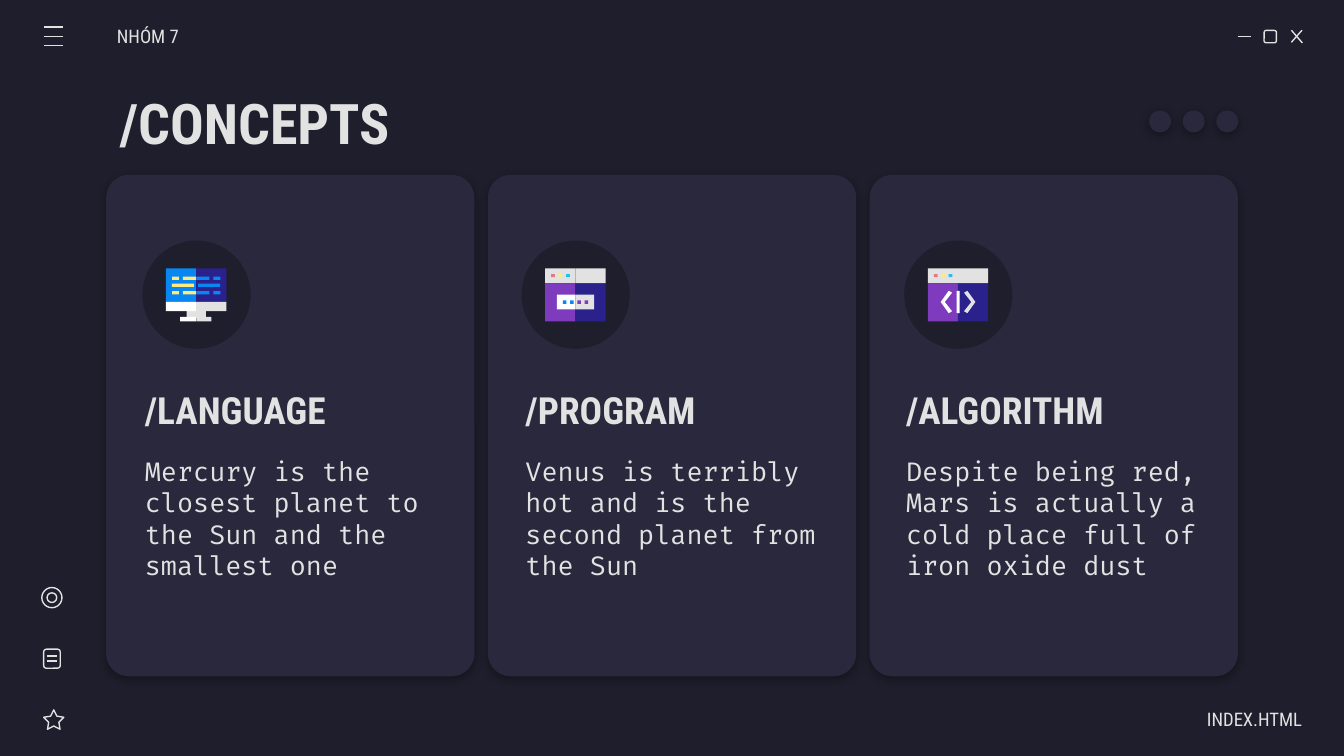
from lxml.etree import SubElement
from pptx import Presentation
from pptx.dml.color import RGBColor
from pptx.enum.shapes import MSO_CONNECTOR, MSO_SHAPE as SHAPE
from pptx.enum.text import MSO_ANCHOR, MSO_AUTO_SIZE, PP_ALIGN as ALIGN
from pptx.oxml.ns import qn
from pptx.util import Pt

DARK = RGBColor(0x1E, 0x1E, 0x2C)
PANEL = RGBColor(0x29, 0x28, 0x3D)
LIGHT = RGBColor(0xE2, 0xE2, 0xE2)
WHITE = RGBColor(0xFF, 0xFF, 0xFF)
INDIGO = RGBColor(0x2B, 0x21, 0x8D)
PURPLE = RGBColor(0x7E, 0x3B, 0xBE)
BLUE = RGBColor(0x08, 0x87, 0xF2)
YELLOW = RGBColor(0xFF, 0xEA, 0x7D)
PINK = RGBColor(0xE0, 0x7A, 0x88)
CYAN = RGBColor(0x24, 0xBF, 0xEB)

HEAD_FONT, BODY_FONT = "Roboto Condensed", "Fira Code"
ICON_W, HALF = 32.4, 16.2

MONITOR = [
    (0, 0, HALF, 18, BLUE), (HALF, 0, HALF, 18, INDIGO),
    (11, 21.6, 10.4, 5, LIGHT),
    (7.6, 26, 8.6, 2.4, WHITE), (HALF, 26, 8.2, 2.4, LIGHT),
    (0, 18, HALF, 5, WHITE), (HALF, 18, HALF, 5, LIGHT),
    (3.2, 8.2, 11.8, 1.8, YELLOW), (17.2, 8.2, 11.8, 1.8, BLUE),
]
for row in (4.4, 12.2):
    MONITOR += [(3.2, row, 3.7, 1.8, YELLOW), (9, row, 7.2, 1.8, YELLOW),
                (HALF, row, 7, 1.8, BLUE), (25.4, row, 3.7, 1.8, BLUE)]

WINDOW = [
    (0, 8, HALF, 20.4, PURPLE), (HALF, 8, HALF, 20.4, INDIGO),
    (0, 0, HALF, 8, LIGHT), (HALF, 0, HALF, 8, LIGHT),
    (3.2, 3.1, 2, 1.6, PINK), (7.1, 3.1, 2, 1.6, YELLOW), (11.2, 3.1, 2, 1.6, CYAN),
]
PASSWORD = [(6.3, 14, 9.9, 8, WHITE), (HALF, 14, 10.1, 8, LIGHT)]
PASSWORD += [(9.5 + 3.9 * i, 17.1, 1.9, 1.9, c)
             for i, c in enumerate((BLUE, BLUE, PURPLE, PURPLE))]
CODE_BAR = [(15.4, 12, 1.7, 12, WHITE)]
BRACKET = [(11.2, 12), (6.9, 18), (11.2, 24), (13, 23), (9.1, 18), (13, 13)]
MIRRORED = [(ICON_W - x, y) for x, y in BRACKET]

CARDS = [
    ("/LANGUAGE", "Mercury is the closest planet to the Sun and the smallest one",
     76.3, MONITOR, []),
    ("/PROGRAM", "Venus is terribly hot and is the second planet from the Sun",
     279.4, WINDOW + PASSWORD, []),
    ("/ALGORITHM", "Despite being red, Mars is actually a cold place full of iron oxide dust",
     484.4, WINDOW + CODE_BAR, [(BRACKET, WHITE), (MIRRORED, LIGHT)]),
]
MENU = [(23.4, y, 34, y) for y in (14.5, 19.5, 24.4)]
CONTROLS = [(663, 19.5, 670, 19.5), (691.8, 16.2, 697.7, 23), (697.5, 16.2, 691.8, 22.7)]
NOTE_LINES = [(25.3, y, 30.5, y) for y in (351.5, 354.2)]
OUTLINES = [
    (SHAPE.ROUNDED_RECTANGLE, 677.2, 16.3, 6.6, 6.6),
    (SHAPE.STAR_5_POINT, 23.4, 380.3, 10.8, 10.4),
    (SHAPE.ROUNDED_RECTANGLE, 23.4, 347.8, 8.9, 10.2),
    (SHAPE.OVAL, 22.4, 314.8, 10.8, 10.8),
    (SHAPE.OVAL, 25.2, 317.6, 5.2, 5.2),
]


def add_shape(kind, x, y, w, h, fill=None):
    sp = s.shapes.add_shape(kind, Pt(x), Pt(y), Pt(w), Pt(h))
    paint(sp, fill)
    return sp


def paint(sp, fill):
    sp.shadow.inherit = False
    if fill is None:
        sp.fill.background()
        sp.line.color.rgb = LIGHT
        sp.line.width = Pt(0.75)
    else:
        sp.fill.solid()
        sp.fill.fore_color.rgb = fill
        sp.line.fill.background()


def add_shadow(sp):
    effects = sp._element.spPr.find(qn("a:effectLst"))
    shadow = SubElement(effects, qn("a:outerShdw"), blurRad=str(Pt(4.5)),
                        dist=str(Pt(1.5)), dir="5400000", algn="bl", rotWithShape="0")
    color = SubElement(shadow, qn("a:srgbClr"), val="000000")
    SubElement(color, qn("a:alpha"), val="30000")


def add_line(x1, y1, x2, y2):
    ln = s.shapes.add_connector(MSO_CONNECTOR.STRAIGHT, Pt(x1), Pt(y1), Pt(x2), Pt(y2))
    ln.line.color.rgb = LIGHT
    ln.line.width = Pt(0.75)
    SubElement(ln._element.spPr, qn("a:effectLst"))


def add_outline(points, x, y, fill):
    start, *rest = [(Pt(x + px), Pt(y + py)) for px, py in points]
    builder = s.shapes.build_freeform(*start)
    builder.add_line_segments(rest, close=True)
    paint(builder.convert_to_shape(), fill)


def set_text(sp, text, size, font=HEAD_FONT, bold=False, align=ALIGN.LEFT, left=7.2, right=7.2):
    tf = sp.text_frame
    tf.word_wrap = True
    tf.auto_size = MSO_AUTO_SIZE.NONE
    tf.vertical_anchor = MSO_ANCHOR.MIDDLE
    tf.margin_left, tf.margin_right = Pt(left), Pt(right)
    tf.margin_top = tf.margin_bottom = Pt(7.2)
    tf.text = text
    p = tf.paragraphs[0]
    p.alignment = align
    p.font.name, p.font.size, p.font.bold = font, Pt(size), bold
    p.font.color.rgb = LIGHT


def add_text(x, y, w, h, text, size, **style):
    set_text(s.shapes.add_textbox(Pt(x), Pt(y), Pt(w), Pt(h)), text, size, **style)


prs = Presentation()
prs.slide_width, prs.slide_height = Pt(720), Pt(405)
s = prs.slides.add_slide(prs.slide_layouts[5])
s.background.fill.solid()
s.background.fill.fore_color.rgb = DARK

title = s.shapes.title
title.left, title.top, title.width, title.height = Pt(56.9), Pt(42.5), Pt(358), Pt(45.4)
set_text(title, "/CONCEPTS", 30, bold=True)
add_text(62.7, 8.8, 84.2, 21.6, "NHÓM 7", 10, left=0)
add_text(613.3, 374.4, 84.2, 21.6, "INDEX.HTML", 10, align=ALIGN.RIGHT, right=0)

for i, (heading, body, disc_x, blocks, outlines) in enumerate(CARDS):
    card = add_shape(SHAPE.ROUNDED_RECTANGLE, 56.9 + 204.5 * i, 93.7, 197.3, 268.6, PANEL)
    card.adjustments[0] = 0.062
    add_shadow(card)
    add_shape(SHAPE.OVAL, disc_x, 128.9, 58, 58, DARK)
    icon_x, icon_y = disc_x + 12.65, 143.8
    for x, y, w, h, color in blocks:
        add_shape(SHAPE.RECTANGLE, icon_x + x, icon_y + y, w, h, color)
    for points, color in outlines:
        add_outline(points, icon_x, icon_y, color)
    text_x = 70.5 + 203.9 * i
    add_text(text_x, 200.9, 171.4, 36.7, heading, 20, bold=True)
    add_text(text_x, 238.3, 171.4, 78.5, body, 14, font=BODY_FONT)

for i in range(3):
    add_shadow(add_shape(SHAPE.OVAL, 615.6 + 18 * i, 59.2, 11.7, 11.7, PANEL))
for ends in MENU + CONTROLS + NOTE_LINES:
    add_line(*ends)
for outline in OUTLINES:
    sp = add_shape(*outline)
    if outline[0] == SHAPE.STAR_5_POINT:
        sp.adjustments[0] = 0.254

prs.save("out.pptx")
